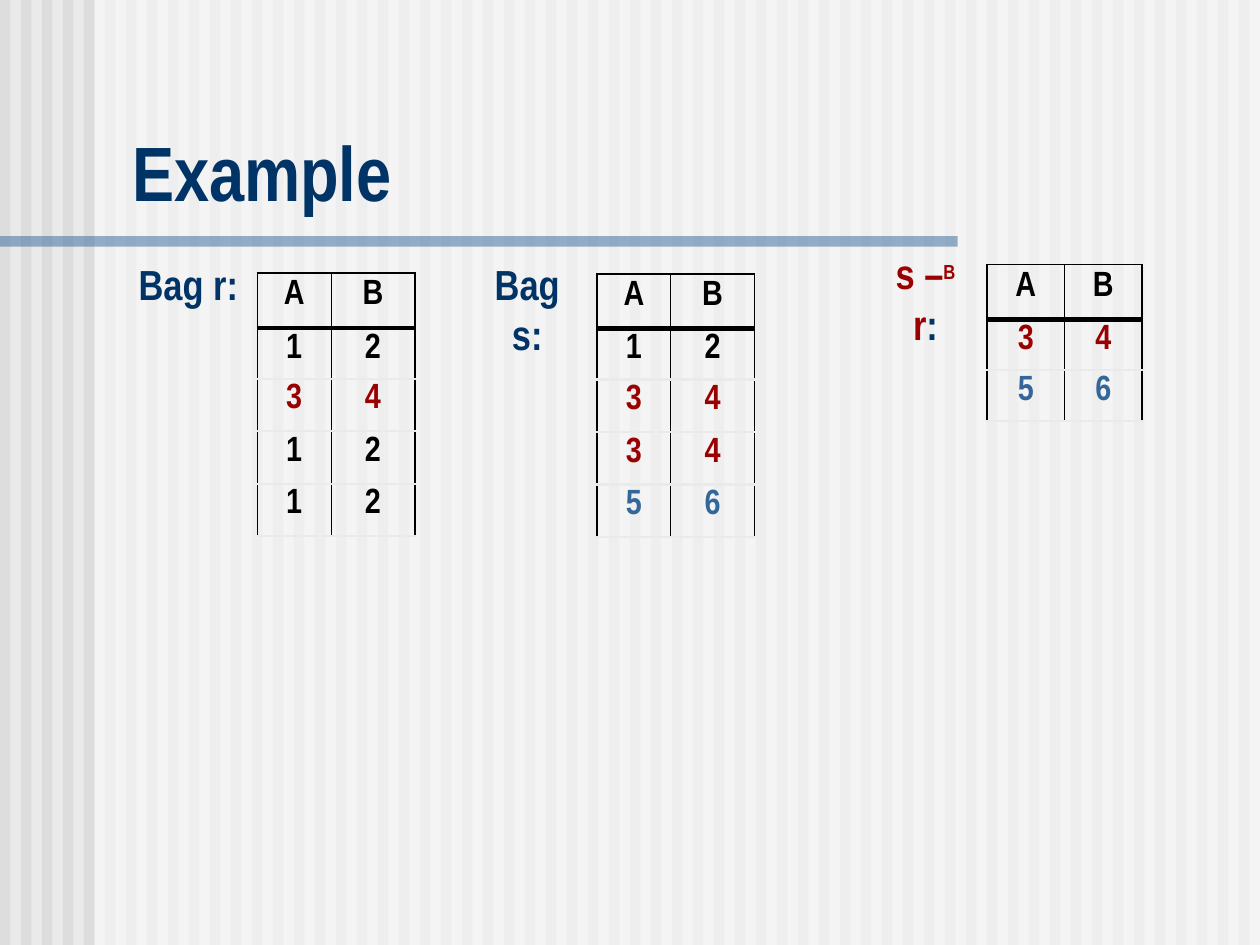
from pptx import Presentation
from pptx.dml.color import RGBColor
from pptx.enum.shapes import MSO_SHAPE as Shape
from pptx.enum.text import MSO_ANCHOR as Anchor, PP_ALIGN as Align
from pptx.oxml.ns import qn
from pptx.util import Pt
from lxml.etree import SubElement

FONT = "Arial Narrow"
BACKGROUND = RGBColor(0xEA, 0xEA, 0xEA)
STRIPE = RGBColor(0xDD, 0xDD, 0xDD)
WHITE = RGBColor(0xFF, 0xFF, 0xFF)
BLACK = RGBColor(0x00, 0x00, 0x00)
NAVY = RGBColor(0x00, 0x33, 0x66)
BLUE = RGBColor(0x33, 0x66, 0x99)
RED = RGBColor(0x9A, 0x00, 0x00)


def add_text(para, text, size=24, color=NAVY, align=Align.CENTER, raised=False, spacing=None):
    para.alignment = align
    if spacing:
        para.line_spacing = spacing
    span = para.add_run()
    span.text = text
    span.font.name = FONT
    span.font.size = Pt(size)
    span.font.bold = True
    span.font.color.rgb = color
    if raised:
        span.font._element.set("baseline", "30000")


def add_bar(left, top, width, height, color, alpha=None):
    bar = page.shapes.add_shape(Shape.RECTANGLE, Pt(left), Pt(top), Pt(width), Pt(height))
    bar.shadow.inherit = False
    bar.line.fill.background()
    bar.fill.solid()
    bar.fill.fore_color.rgb = color
    if alpha:
        tint = bar._element.spPr.find(qn("a:solidFill"))[0]
        SubElement(tint, qn("a:alpha")).set("val", str(alpha * 1000))


deck = Presentation()
deck.slide_width, deck.slide_height = Pt(720), Pt(540)
page = deck.slides.add_slide(deck.slide_layouts[6])

# Striped background, white veil and rule under the title
page.background.fill.solid()
page.background.fill.fore_color.rgb = BACKGROUND
for index in range(60):
    add_bar(index * 12, 0, 6, 540, STRIPE)
add_bar(54, 0, 666, 540, WHITE, alpha=50)
add_bar(0, 135, 547.2, 6, BLUE, alpha=50)

# Title
title = page.shapes.add_textbox(Pt(68.4), Pt(67.7), Pt(643), Pt(59.8)).text_frame
title.word_wrap = True
title.vertical_anchor = Anchor.BOTTOM
add_text(title.paragraphs[0], "Example", size=44, align=Align.LEFT)

# Labels: left, top, width, wrap, spans of (text, color, size, raised)
labels = [
    (264.2, 144, 74.2, False, [("Bag s:", NAVY, 24, False)]),
    (72, 144, 71.3, True, [("Bag r:", NAVY, 24, False)]),
    (496.1, 138.2, 65.5, False, [
        ("s –", RED, 24, False), ("B", RED, 20, True), (" ", RED, 24, True),
        ("r", RED, 24, False), (":", NAVY, 24, False)]),
]
for left, top, width, wrap, spans in labels:
    box = page.shapes.add_textbox(Pt(left), Pt(top), Pt(width), Pt(36)).text_frame
    box.word_wrap = wrap
    for text, color, size, raised in spans:
        add_text(box.paragraphs[0], text, size=size, color=color, raised=raised)

# Tables: left, top, column widths, row heights, rows of (values, color)
header, one_two = ("AB", BLACK), ("12", BLACK)
three_four, five_six = ("34", RED), ("56", BLUE)
bag_columns, bag_rows = [42, 48], [31.5, 29, 30, 30, 30]
tables = [
    (563.9, 151.2, [44.6, 44], [31, 29, 29], [header, three_four, five_six]),
    (147.1, 156, bag_columns, bag_rows, [header, one_two, three_four, one_two, one_two]),
    (341.2, 156.4, bag_columns, bag_rows, [header, one_two, three_four, three_four, five_six]),
]
outer, inner = (BLACK, 1.08), (BLACK, 0.45)
heavy, faint = (BLACK, 3), (BACKGROUND, 1.47)

for left, top, columns, heights, rows in tables:
    table = page.shapes.add_table(len(rows), 2, Pt(left), Pt(top),
                                  Pt(sum(columns)), Pt(sum(heights))).table
    table.first_row = table.horz_banding = False
    for column, width in zip(table.columns, columns):
        column.width = Pt(width)
    for row, height in zip(table.rows, heights):
        row.height = Pt(height)
    for r, (values, color) in enumerate(rows):
        for c, value in enumerate(values):
            cell = table.cell(r, c)
            add_text(cell.text_frame.paragraphs[0], value, size=20, color=color,
                     spacing=0.9 if r else None)
            borders = {
                "a:lnL": inner if c else outer,
                "a:lnR": outer if c else inner,
                "a:lnT": (outer, heavy)[r] if r < 2 else faint,
                "a:lnB": faint if r else heavy,
            }
            for tag, (line_color, weight) in borders.items():
                line = SubElement(cell._tc.get_or_add_tcPr(), qn(tag))
                line.set("w", str(Pt(weight)))
                fill = SubElement(line, qn("a:solidFill"))
                SubElement(fill, qn("a:srgbClr")).set("val", str(line_color))
            cell.fill.background()

deck.save("out.pptx")
